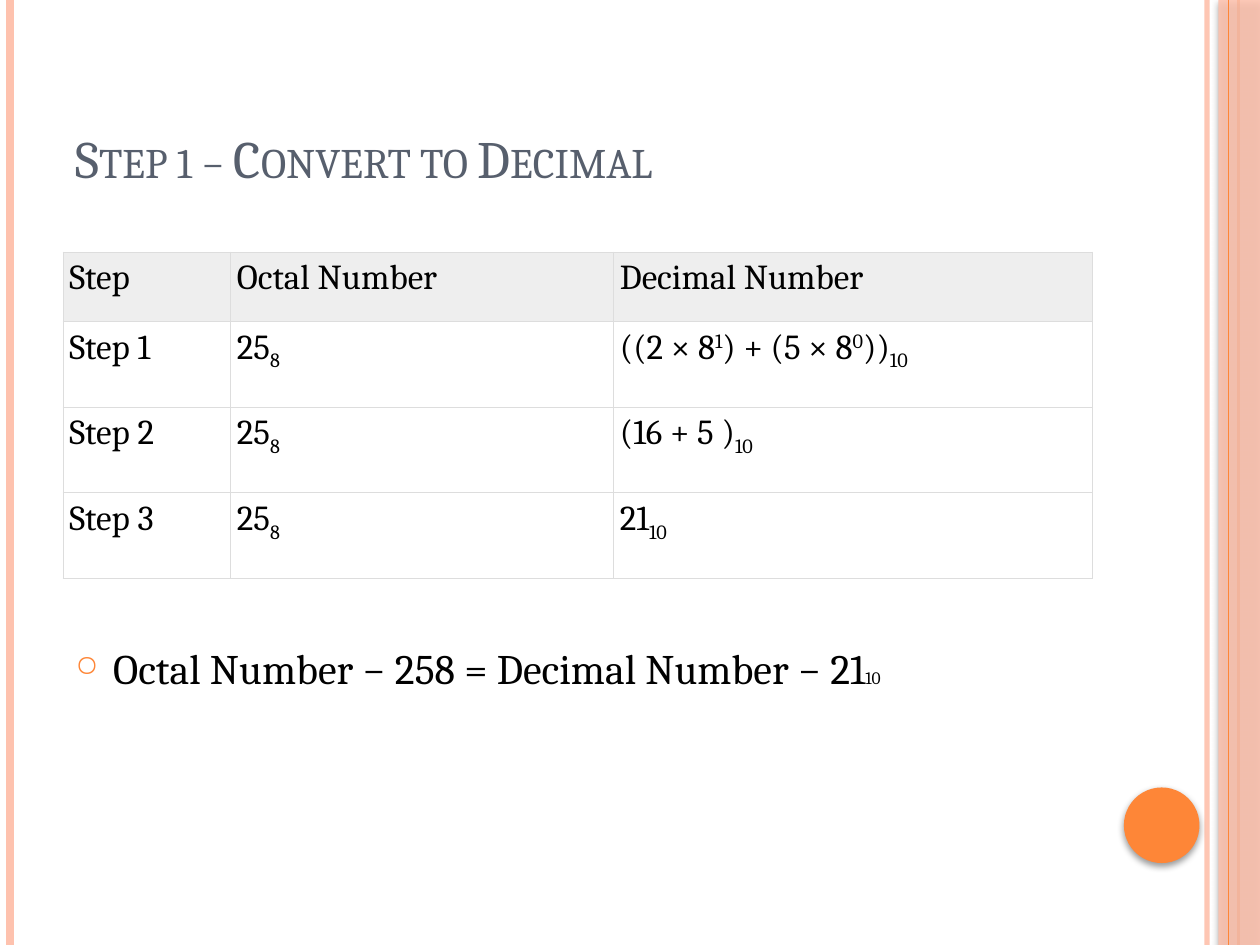
from lxml import etree
from pptx import Presentation
from pptx.dml.color import RGBColor
from pptx.enum.shapes import MSO_CONNECTOR, MSO_SHAPE
from pptx.enum.text import MSO_ANCHOR
from pptx.oxml.ns import qn
from pptx.util import Inches, Pt

LINE = MSO_CONNECTOR.STRAIGHT
RECT, OVAL = MSO_SHAPE.RECTANGLE, MSO_SHAPE.OVAL
BOTTOM, TOP = MSO_ANCHOR.BOTTOM, MSO_ANCHOR.TOP

FONT = "Cambria"
COLORS = {
    "peach": "FEC2AE", "orange": "FE8637", "slate": "575F6D", "black": "000000",
    "head": "EEEEEE", "white": "FFFFFF", "border": "DDDDDD",
}
WIDE, HIGH = 10, 7.5
LEFT, SPAN = 0.5, 8.17
SUB, SUP = -25, 30

TITLE = [("Step 1 − Convert to Decimal", 0)]
RESULT = [("Octal Number − 258 = Decimal Number − 21", 0), ("10", 0)]
OCTAL = [("25", 0), ("8", SUB)]
ROWS = [
    [[("Step", 0)], [("Octal Number", 0)], [("Decimal Number", 0)]],
    [[("Step 1", 0)], OCTAL,
     [("((2 × 8", 0), ("1", SUP), (") + (5 × 8", 0), ("0", SUP), ("))", 0), ("10", SUB)]],
    [[("Step 2", 0)], OCTAL, [("(16 + 5 )", 0), ("10", SUB)]],
    [[("Step 3", 0)], OCTAL, [("21", 0), ("10", SUB)]],
]
COLS = [1.33, 3.04, 3.8]
TALL = [0.55, 0.68, 0.68, 0.68]
BACK = [(9.58, "peach", 3, 93), (0.08, "peach", 4.5, 100), (9.83, "orange", 1.5, 100)]
FRONT = [(9.75, "orange", 0.75, 100)]


def rgb(name):
    return RGBColor.from_string(COLORS[name])


def add(parent, tag, **attrs):
    node = etree.SubElement(parent, qn(tag))
    for key, value in attrs.items():
        node.set(key, str(value))
    return node


def fade(fill, alpha):
    color = fill._xPr.find(qn("a:solidFill"))[0]
    add(color, "a:alpha", val=alpha * 1000)


def add_rules(slide, rules):
    for x, color, width, alpha in rules:
        rule = slide.shapes.add_connector(LINE, Inches(x), 0, Inches(x), Inches(HIGH))
        rule.line.color.rgb = rgb(color)
        rule.line.width = Pt(width)
        if alpha < 100:
            fade(rule.line.fill, alpha)
        add(rule._element.spPr, "a:effectLst")


def add_block(slide, kind, box, color, alpha=100):
    shape = slide.shapes.add_shape(kind, *map(Inches, box))
    shape.fill.solid()
    shape.fill.fore_color.rgb = rgb(color)
    if alpha < 100:
        fade(shape.fill, alpha)
    shape.line.fill.background()
    shape.shadow.inherit = False
    effects = shape._element.spPr.find(qn("a:effectLst"))
    shadow = add(effects, "a:outerShdw", blurRad=Pt(4), dist=Pt(2), dir=90 * 60000, rotWithShape=0)
    tint = add(shadow, "a:srgbClr", val=COLORS["black"])
    add(tint, "a:alpha", val=40000)


def write(para, parts, size, color="black"):
    for text, shift in parts:
        run = para.add_run()
        run.text = text
        run.font.name = FONT
        run.font.size = Pt(size)
        run.font.color.rgb = rgb(color)
        if shift:
            run.font._element.set("baseline", str(shift * 1000))


def add_text(slide, box, anchor):
    frame = slide.shapes.add_textbox(*map(Inches, box)).text_frame
    frame.word_wrap = True
    frame.vertical_anchor = anchor
    return frame.paragraphs[0]


def add_bullet(para):
    props = para._p.get_or_add_pPr()
    props.set("marL", str(Inches(0.3)))
    props.set("indent", str(Inches(-0.3)))
    add(add(props, "a:buClr"), "a:srgbClr", val=COLORS["orange"])
    add(props, "a:buSzPct", val=70000)
    add(props, "a:buChar", char="○")


def add_border(cell):
    props = cell._tc.get_or_add_tcPr()
    for side in ("L", "R", "T", "B"):
        edge = add(props, f"a:ln{side}", w=Pt(0.5))
        add(add(edge, "a:solidFill"), "a:srgbClr", val=COLORS["border"])


def add_grid(slide):
    table = slide.shapes.add_table(
        len(ROWS), len(COLS), Inches(LEFT), Inches(2), Inches(SPAN), Inches(sum(TALL))).table
    table.first_row = table.horz_banding = False
    for col, width in zip(table.columns, COLS):
        col.width = Inches(width)
    for r, row in enumerate(ROWS):
        table.rows[r].height = Inches(TALL[r])
        for c, parts in enumerate(row):
            cell = table.cell(r, c)
            cell.margin_left = cell.margin_right = Inches(0.05)
            cell.margin_top = cell.margin_bottom = Inches(0.05)
            add_border(cell)
            cell.fill.solid()
            cell.fill.fore_color.rgb = rgb("white" if r else "head")
            write(cell.text_frame.paragraphs[0], parts, 20)


def main():
    deck = Presentation()
    deck.slide_width, deck.slide_height = Inches(WIDE), Inches(HIGH)
    slide = deck.slides.add_slide(deck.slide_layouts[6])

    add_rules(slide, BACK)
    add_block(slide, RECT, (9.67, 0, 0.33, HIGH), "peach", 87)
    add_rules(slide, FRONT)
    add_block(slide, OVAL, (8.92, 6.25, 0.6, 0.6), "orange")

    title = add_text(slide, (LEFT, 0.3, SPAN, 1.25), BOTTOM)
    write(title, TITLE, 30, "slate")
    title.runs[0].font._element.set("cap", "small")

    result = add_text(slide, (LEFT, 5.05, SPAN, 0.5), TOP)
    add_bullet(result)
    write(result, RESULT, 24)
    result.runs[-1].font.size = Pt(10)

    add_grid(slide)
    deck.save("out.pptx")


if __name__ == "__main__":
    main()
